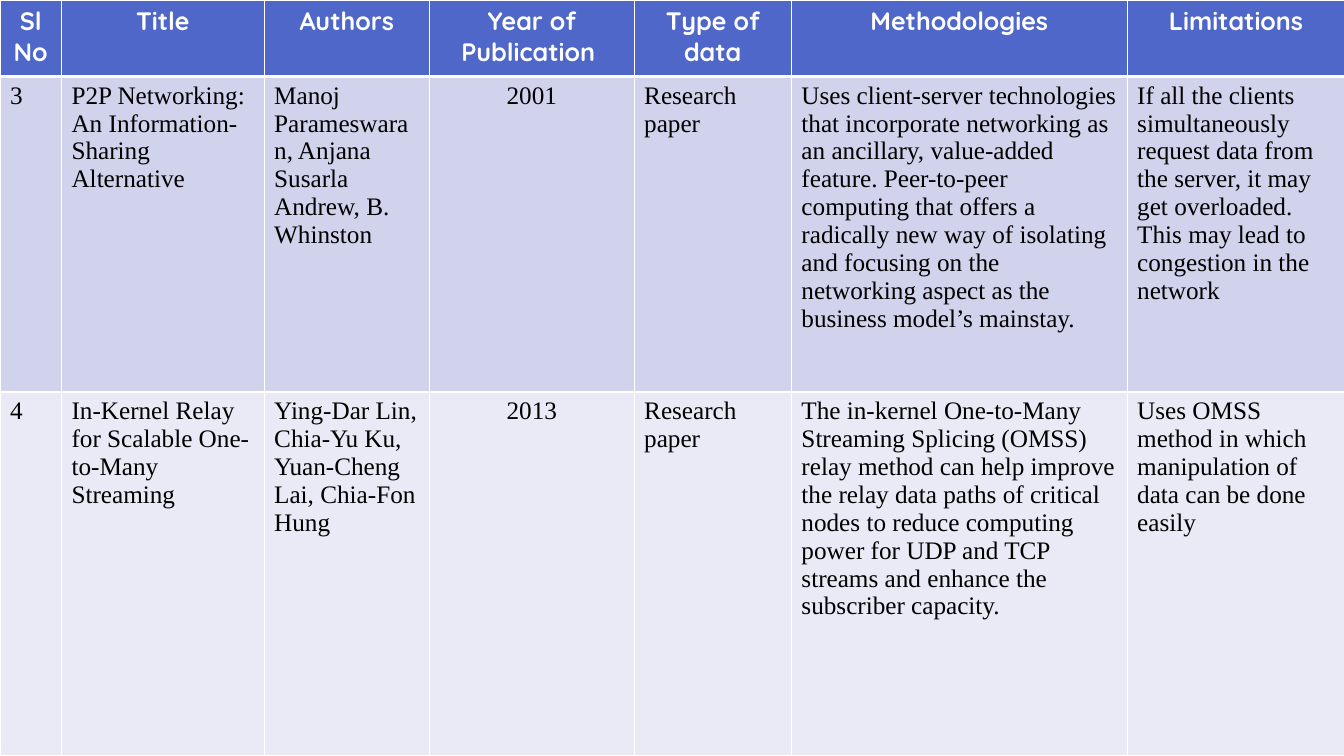
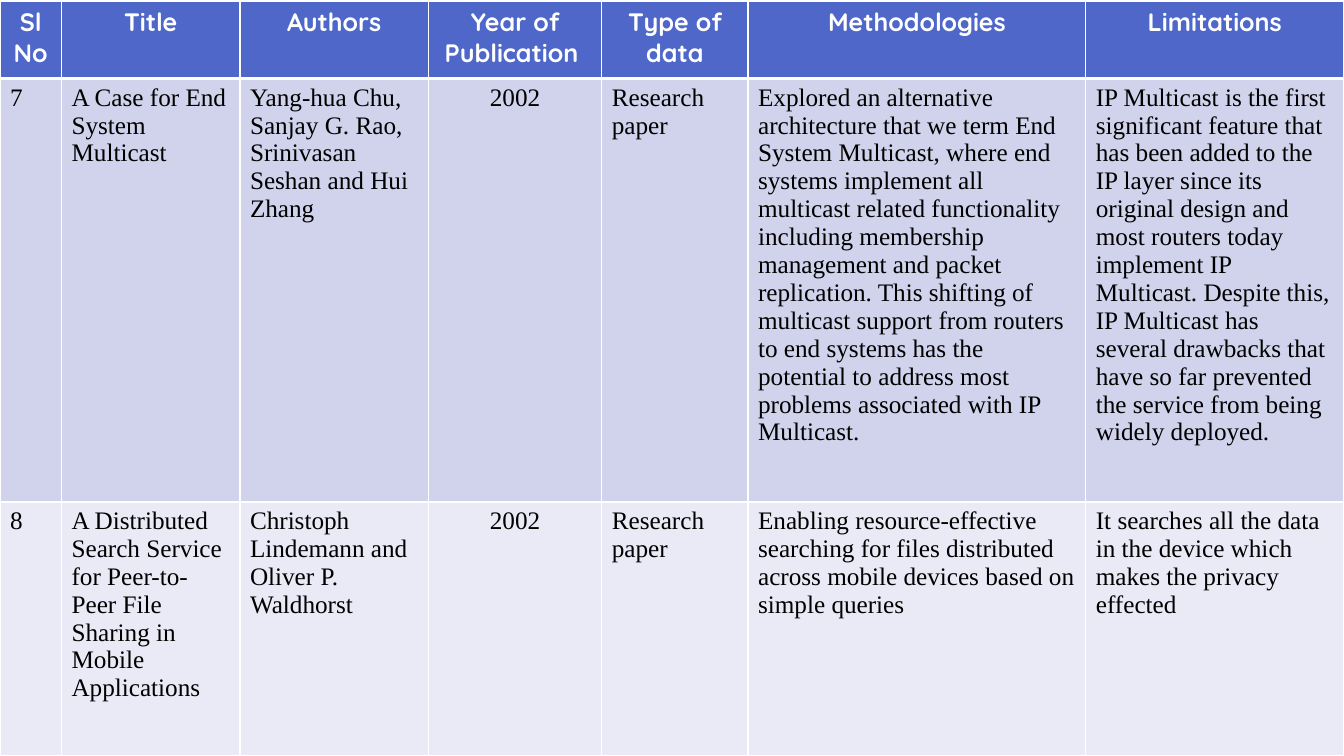
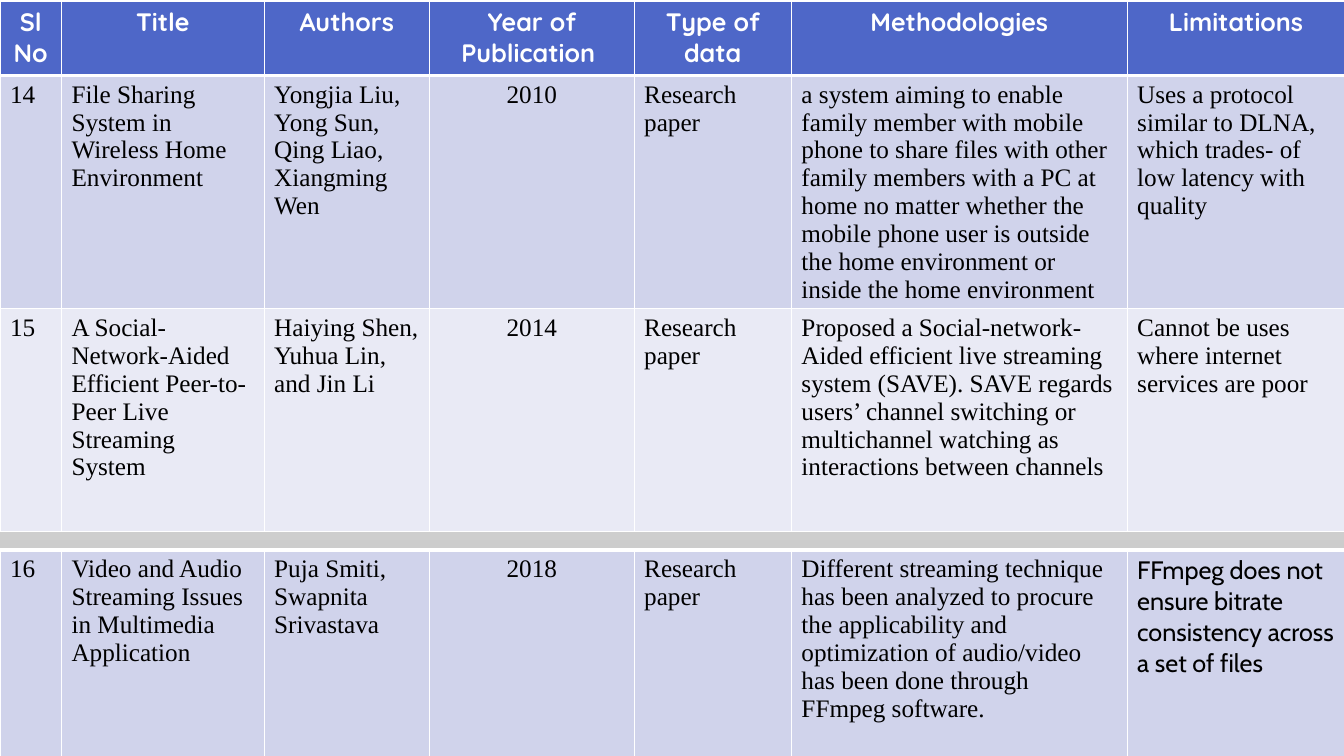
from lxml import etree
from pptx import Presentation
from pptx import util as u
from pptx.dml.color import RGBColor
from pptx.enum import text
from pptx.oxml import ns

COLORS = {
    "header": "4E67C8",
    "band_dark": "D0D3EB",
    "band_light": "E9EAF5",
    "white": "FFFFFF",
    "black": "000000",
    "backdrop_end": "B9B9B9",
}
HEADER_FONT, BODY_FONT, ACCENT_FONT = "Quicksand", "Times New Roman", "Cabin"
TEXT_SIZE = 18
THIN, THICK = 0.96, 3
YEAR_COLUMN = 3

HEADINGS = ("Sl No", "Title", "Authors", "Year of Publication ", "Type of data",
            "Methodologies", "Limitations")
STANDARD_WIDTHS = (0.61, 2.01, 1.64, 2.03, 1.56, 3.33, 2.16)
MULTICAST_WIDTHS = (0.61, 1.77, 1.87, 1.72, 1.45, 3.35, 2.56)

P2P_PAPERS = [
    ("3", "P2P Networking: An Information-Sharing Alternative",
     "Manoj Parameswaran, Anjana Susarla Andrew, B. Whinston", "2001", "Research paper",
     "Uses client-server technologies that incorporate networking as an ancillary, "
     "value-added feature. Peer-to-peer computing that offers a radically new way of "
     "isolating and focusing on the networking aspect as the business model’s mainstay.",
     "If all the clients simultaneously request data from the server, it may get "
     "overloaded. This may lead to congestion in the network"),
    ("4", "In-Kernel Relay for Scalable One-to-Many Streaming",
     "Ying-Dar Lin, Chia-Yu Ku, Yuan-Cheng Lai, Chia-Fon Hung", "2013", "Research paper",
     "The in-kernel One-to-Many Streaming Splicing (OMSS) relay method can help improve "
     "the relay data paths of critical nodes to reduce computing power for UDP and TCP "
     "streams and enhance the subscriber capacity.",
     "Uses OMSS method in which manipulation of data can be done easily"),
]
MULTICAST_PAPERS = [
    ("7", "A Case for End System Multicast",
     "Yang-hua Chu, Sanjay G. Rao, Srinivasan Seshan and Hui Zhang", "2002",
     "Research paper",
     "Explored an alternative architecture that we term End System Multicast, where end "
     "systems implement all multicast related functionality including membership "
     "management and packet replication. This shifting of multicast support from routers "
     "to end systems has the potential to address most problems associated with IP "
     "Multicast.",
     "IP Multicast is the first significant feature that has been added to the IP layer "
     "since its original design and most routers today implement IP Multicast. Despite "
     "this, IP Multicast has several drawbacks that have so far prevented the service "
     "from being widely deployed."),
    ("8", "A Distributed Search Service for Peer-to-Peer File Sharing in Mobile Applications",
     "Christoph Lindemann and Oliver P. Waldhorst", "2002", "Research paper",
     "Enabling resource-effective searching for files distributed across mobile devices "
     "based on simple queries",
     "It searches all the data in the device which makes the privacy effected"),
]
SHARING_PAPERS = [
    ("14", "File Sharing System in Wireless Home Environment",
     "Yongjia Liu, Yong Sun, Qing Liao, Xiangming Wen", "2010", "Research paper",
     "a system aiming to enable family member with mobile phone to share files with other "
     "family members with a PC at home no matter whether the mobile phone user is outside "
     "the home environment or inside the home environment",
     "Uses a protocol similar to DLNA, which trades- of low latency with quality"),
    ("15", "A Social-Network-Aided Efficient Peer-to-Peer Live Streaming System",
     "Haiying Shen, Yuhua Lin, and Jin Li", "2014", "Research paper",
     "Proposed a Social-network-Aided efficient live streaming system (SAVE). SAVE regards "
     "users’ channel switching or multichannel watching as interactions between channels",
     "Cannot be uses where internet services are poor"),
]
STREAMING_PAPERS = [
    ("16", "Video and Audio Streaming Issues in Multimedia Application",
     "Puja Smiti, Swapnita Srivastava", "2018", "Research paper",
     "Different streaming technique has been analyzed to procure the applicability and "
     "optimization of audio/video has been done through FFmpeg software.",
     "FFmpeg does not ensure bitrate consistency across a set of files"),
]
EMPTY_ROW = [("",) * len(HEADINGS)]

# One list of tables per slide, from back to front
SLIDES = [
    [dict(papers=P2P_PAPERS, top=0, heights=(0.76, 3.13, 3.61))],
    [dict(papers=EMPTY_ROW, top=5.3, heights=(2.2,), header=False),
     dict(papers=MULTICAST_PAPERS, top=0.01, heights=(0.77, 4.2, 2.52),
          widths=MULTICAST_WIDTHS)],
    [dict(papers=STREAMING_PAPERS, top=5.46, heights=(2.09,), header=False,
          last_font=ACCENT_FONT),
     dict(papers=SHARING_PAPERS, top=0.01, heights=(0.74, 2.31, 2.21))],
]


def rgb(name):
    return RGBColor.from_string(COLORS[name])


def write(cell, content, font=BODY_FONT, color="black", bold=False, centered=False):
    paragraph = cell.text_frame.paragraphs[0]
    paragraph.alignment = text.PP_ALIGN.CENTER if centered else text.PP_ALIGN.LEFT
    if not content:
        return
    run = paragraph.add_run()
    run.text = content
    run.font.name = font
    run.font.size = u.Pt(TEXT_SIZE)
    run.font.bold = bold
    run.font.color.rgb = rgb(color)


def set_borders(cell, **widths):
    """Draw white borders; widths by side (L, R, T, B) replace the thin default."""
    properties = cell._tc.get_or_add_tcPr()
    for side in "LRTB":
        width = u.Pt(widths.get(side, THIN))
        line = etree.SubElement(properties, ns.qn(f"a:ln{side}"), w=str(int(width)))
        fill = etree.SubElement(line, ns.qn("a:solidFill"))
        etree.SubElement(fill, ns.qn("a:srgbClr"), val=COLORS["white"])


def add_paper_table(slide, papers, top, heights, widths=STANDARD_WIDTHS, header=True,
                    last_font=BODY_FONT):
    rows = [HEADINGS, *papers] if header else papers
    table = slide.shapes.add_table(
        len(rows), len(widths), 0, u.Inches(top),
        u.Inches(sum(widths)), u.Inches(sum(heights))).table
    table.first_row = header
    for column, width in zip(table.columns, widths):
        column.width = u.Inches(width)
    for row, height in zip(table.rows, heights):
        row.height = u.Inches(height)

    for row_index, values in enumerate(rows):
        paper_index = row_index - int(header)
        for column_index, value in enumerate(values):
            cell = table.cell(row_index, column_index)
            if paper_index < 0:
                set_borders(cell, B=THICK)
                fill = "header"
                write(cell, value, font=HEADER_FONT, color="white", bold=True, centered=True)
            else:
                set_borders(cell, T=THIN if paper_index else THICK)
                fill = "band_light" if paper_index % 2 else "band_dark"
                is_last = column_index == len(values) - 1
                write(cell, value, font=last_font if is_last else BODY_FONT,
                      centered=column_index == YEAR_COLUMN)
            cell.fill.solid()
            cell.fill.fore_color.rgb = rgb(fill)


def set_backdrop(slide):
    fill = slide.background.fill
    fill.gradient()
    fill.gradient_angle = 270
    for stop, position, color in zip(fill.gradient_stops, (0, 1), ("white", "backdrop_end")):
        stop.position = position
        stop.color.rgb = rgb(color)


def main():
    presentation = Presentation()
    presentation.slide_width = u.Inches(13.33)
    presentation.slide_height = u.Inches(7.5)
    for tables in SLIDES:
        slide = presentation.slides.add_slide(presentation.slide_layouts[6])
        set_backdrop(slide)
        for table in tables:
            add_paper_table(slide, **table)
    presentation.save("out.pptx")


if __name__ == "__main__":
    main()
